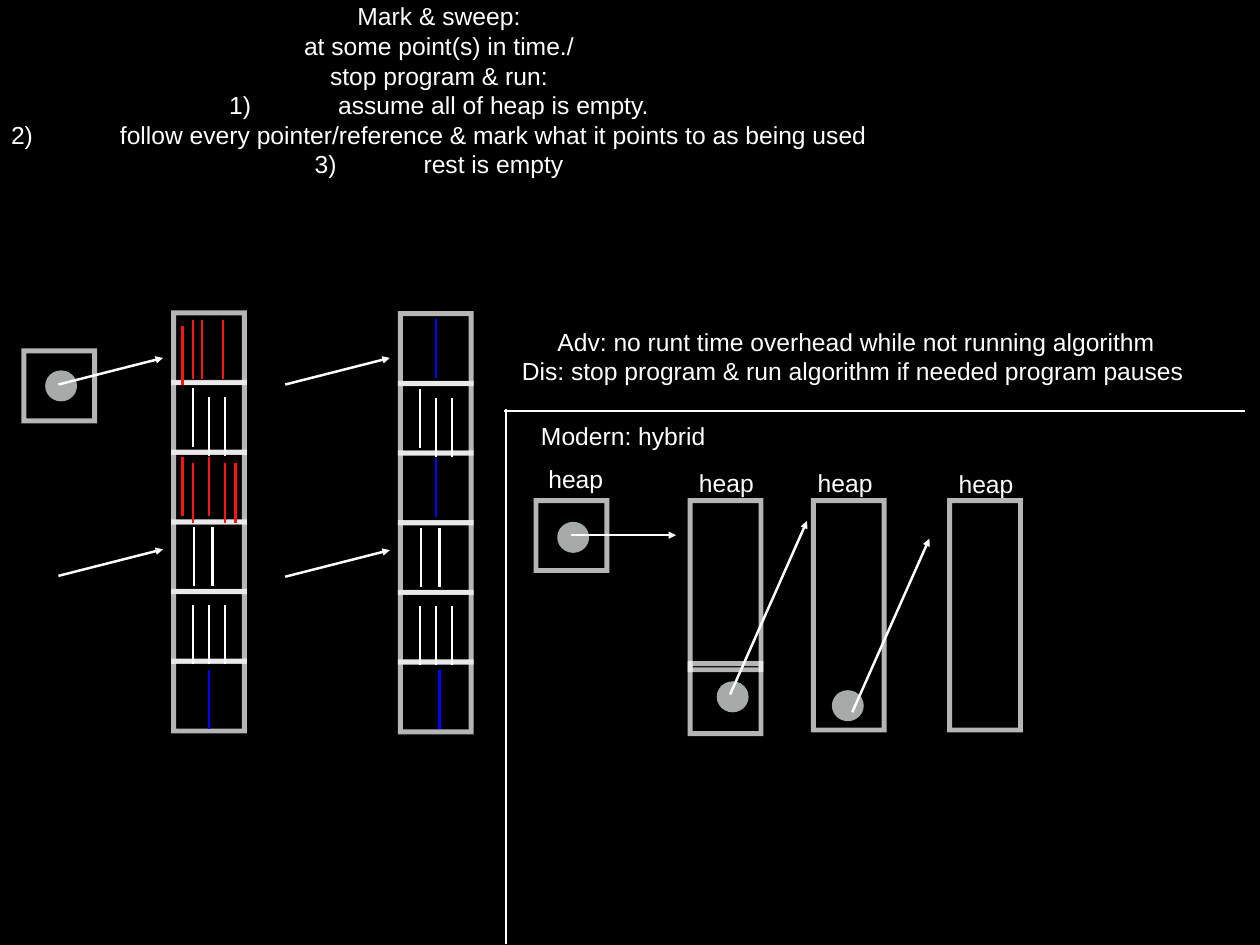
from dataclasses import dataclass

from lxml import etree
from pptx import Presentation
from pptx.dml.color import RGBColor
from pptx.enum.shapes import MSO_CONNECTOR, MSO_SHAPE
from pptx.enum.text import MSO_ANCHOR, MSO_AUTO_SIZE, PP_ALIGN
from pptx.oxml.ns import qn
from pptx.slide import Slide
from pptx.util import Pt

RECTANGLE = MSO_SHAPE.RECTANGLE
OVAL = MSO_SHAPE.OVAL
STRAIGHT = MSO_CONNECTOR.STRAIGHT
MIDDLE = MSO_ANCHOR.MIDDLE
GROW = MSO_AUTO_SIZE.SHAPE_TO_FIT_TEXT
CENTER = PP_ALIGN.CENTER

COLORS = {
    "black": "000000",
    "white": "FFFFFF",
    "gray": "A6AAA8",
    "red": "FF140F",
    "blue": "0100FF",
}
FONT = "Arial"
CELL_WIDTH, CELL_HEIGHT, CELL_STEP = 57.6, 56.9, 56.6
BAR_HEIGHT = 48.2
NUMBER_INDENT = 88.5


@dataclass(frozen=True)
class Label:
    left: float
    top: float
    width: float
    height: float
    lines: tuple[str, ...]
    numbered_from: int = 99


@dataclass(frozen=True)
class Frame:
    left: float
    top: float
    height: float = CELL_HEIGHT


@dataclass(frozen=True)
class Stroke:
    x1: float
    y1: float
    x2: float
    y2: float
    color: str = "white"
    arrow: bool = False


@dataclass(frozen=True)
class BarGroup:
    color: str
    tops: tuple[float, ...]
    lefts: tuple[float, ...]


@dataclass(frozen=True)
class HeapColumn:
    left: float
    top: float
    groups: tuple[BarGroup, ...]


USED_BARS = (
    BarGroup("white", (61.2, 68.4, 68.4), (15.9, 28.9, 41.9)),
    BarGroup("white", (174.2, 174.2), (16.6, 31.7)),
    BarGroup("white", (237.6, 237.6, 237.6), (15.9, 28.9, 41.9)),
)
COLUMNS = (
    HeapColumn(141.1, 254.2, USED_BARS + (
        BarGroup("red", (10.8, 5.8, 5.8, 5.8), (7.2, 15.9, 23.1, 40.3)),
        BarGroup("red", (117.3, 122.4, 117.3, 122.4, 122.4),
                 (7.2, 15.9, 28.9, 41.9, 50.4)),
        BarGroup("blue", (290.1,), (28.9,)),
    )),
    HeapColumn(325.4, 254.9, USED_BARS + (
        BarGroup("blue", (4.4, 117.4, 289.4), (28.9, 28.9, 31.7)),
    )),
)

FRAMES = (
    Frame(19.4, 285.1),
    Frame(435.6, 406.8),
    Frame(560.9, 406.8, 137.5),
    Frame(560.9, 539.3),
    Frame(661, 406.8, 186.5),
    Frame(771.8, 406.8, 186.5),
)

DOTS = ((36.7, 301), (452.9, 424.1), (582.5, 553.7), (676.1, 560.9))

STROKES = (
    Stroke(231.8, 312.5, 316.8, 290.9, arrow=True),
    Stroke(231.8, 468.7, 316.8, 447.1, arrow=True),
    Stroke(47.5, 312.5, 132.5, 290.9, arrow=True),
    Stroke(47.5, 468, 132.5, 446.4, arrow=True),
    Stroke(463.7, 434.9, 549.4, 434.9, arrow=True),
    Stroke(593.3, 564.5, 655.9, 423.4, arrow=True),
    Stroke(692.6, 578.9, 755.3, 437.8, arrow=True),
    Stroke(1011.6, 334.1, 409.7, 334.1),
    Stroke(411.1, 767.5, 411.1, 332.6),
)

LABELS = (
    Label(-0.7, -2.9, 715, 151.9, (
        "Mark & sweep:",
        "at some point(s) in time./",
        "stop program & run:",
        "assume all of heap is empty.",
        "follow every pointer/reference & mark what it points to as being used",
        "rest is empty",
    ), numbered_from=3),
    Label(415.4, 261.4, 560.9, 56.2, (
        "Adv: no runt time overhead while not running algorithm",
        "Dis: stop program & run algorithm if needed program pauses ",
    )),
    Label(433.4, 338.4, 146.2, 31.7, ("Modern: hybrid",)),
    Label(440.6, 373, 54.7, 31.7, ("heap",)),
    Label(563, 376.6, 54.7, 31.7, ("heap",)),
    Label(659.5, 376.6, 54.7, 31.7, ("heap",)),
    Label(774, 377.3, 54.7, 31.7, ("heap",)),
)


def rgb(name: str) -> RGBColor:
    return RGBColor.from_string(COLORS[name])


def draw_frame(page: Slide, frame: Frame) -> None:
    box = page.shapes.add_shape(RECTANGLE, Pt(frame.left), Pt(frame.top),
                                Pt(CELL_WIDTH), Pt(frame.height))
    box.shadow.inherit = False
    box.fill.background()
    box.line.width = Pt(4)
    box.line.color.rgb = rgb("white")
    outline = box.element.xpath("./p:spPr/a:ln")[0]
    color = outline.xpath(".//a:srgbClr")[0]
    etree.SubElement(color, qn("a:alpha"), val="71000")
    etree.SubElement(outline, qn("a:miter"), lim="400000")


def draw_dot(page: Slide, left: float, top: float) -> None:
    dot = page.shapes.add_shape(OVAL, Pt(left), Pt(top), Pt(25.9), Pt(25.2))
    dot.shadow.inherit = False
    dot.fill.solid()
    dot.fill.fore_color.rgb = rgb("gray")
    dot.line.fill.background()


def draw_stroke(page: Slide, stroke: Stroke) -> None:
    line = page.shapes.add_connector(STRAIGHT, Pt(stroke.x1), Pt(stroke.y1),
                                     Pt(stroke.x2), Pt(stroke.y2))
    line.line.width = Pt(2)
    line.line.color.rgb = rgb(stroke.color)
    properties = line.element.xpath("./p:spPr")[0]
    if stroke.arrow:
        outline = properties.find(qn("a:ln"))
        etree.SubElement(outline, qn("a:tailEnd"), type="triangle")
    etree.SubElement(properties, qn("a:effectLst"))


def draw_column(page: Slide, column: HeapColumn) -> None:
    for row in range(6):
        draw_frame(page, Frame(column.left, column.top + row * CELL_STEP))
    for group in column.groups:
        for left, top in zip(group.lefts, group.tops):
            x, y = column.left + left, column.top + top
            draw_stroke(page, Stroke(x, y + BAR_HEIGHT, x, y, group.color))


def draw_label(page: Slide, label: Label) -> None:
    box = page.shapes.add_textbox(Pt(label.left), Pt(label.top),
                                  Pt(label.width), Pt(label.height))
    frame = box.text_frame
    frame.word_wrap = False
    frame.auto_size = GROW
    frame.vertical_anchor = MIDDLE
    frame.margin_left = frame.margin_right = Pt(4.3)
    frame.margin_top = frame.margin_bottom = Pt(4.3)
    for index, line in enumerate(label.lines):
        para = frame.paragraphs[0] if index == 0 else frame.add_paragraph()
        para.alignment = CENTER
        if index >= label.numbered_from:
            properties = para._p.get_or_add_pPr()
            properties.set("marL", str(Pt(NUMBER_INDENT)))
            properties.set("indent", str(-Pt(NUMBER_INDENT)))
            etree.SubElement(properties, qn("a:buAutoNum"), type="arabicParenR")
        span = para.add_run()
        span.text = line
        span.font.name = FONT
        span.font.size = Pt(20)
        span.font.color.rgb = rgb("white")


def main() -> None:
    deck = Presentation()
    deck.slide_width, deck.slide_height = Pt(1024), Pt(768)
    page = deck.slides.add_slide(deck.slide_layouts[6])
    page.background.fill.solid()
    page.background.fill.fore_color.rgb = rgb("black")
    for column in COLUMNS:
        draw_column(page, column)
    for frame in FRAMES:
        draw_frame(page, frame)
    for left, top in DOTS:
        draw_dot(page, left, top)
    for stroke in STROKES:
        draw_stroke(page, stroke)
    for label in LABELS:
        draw_label(page, label)
    deck.save("out.pptx")


if __name__ == "__main__":
    main()
